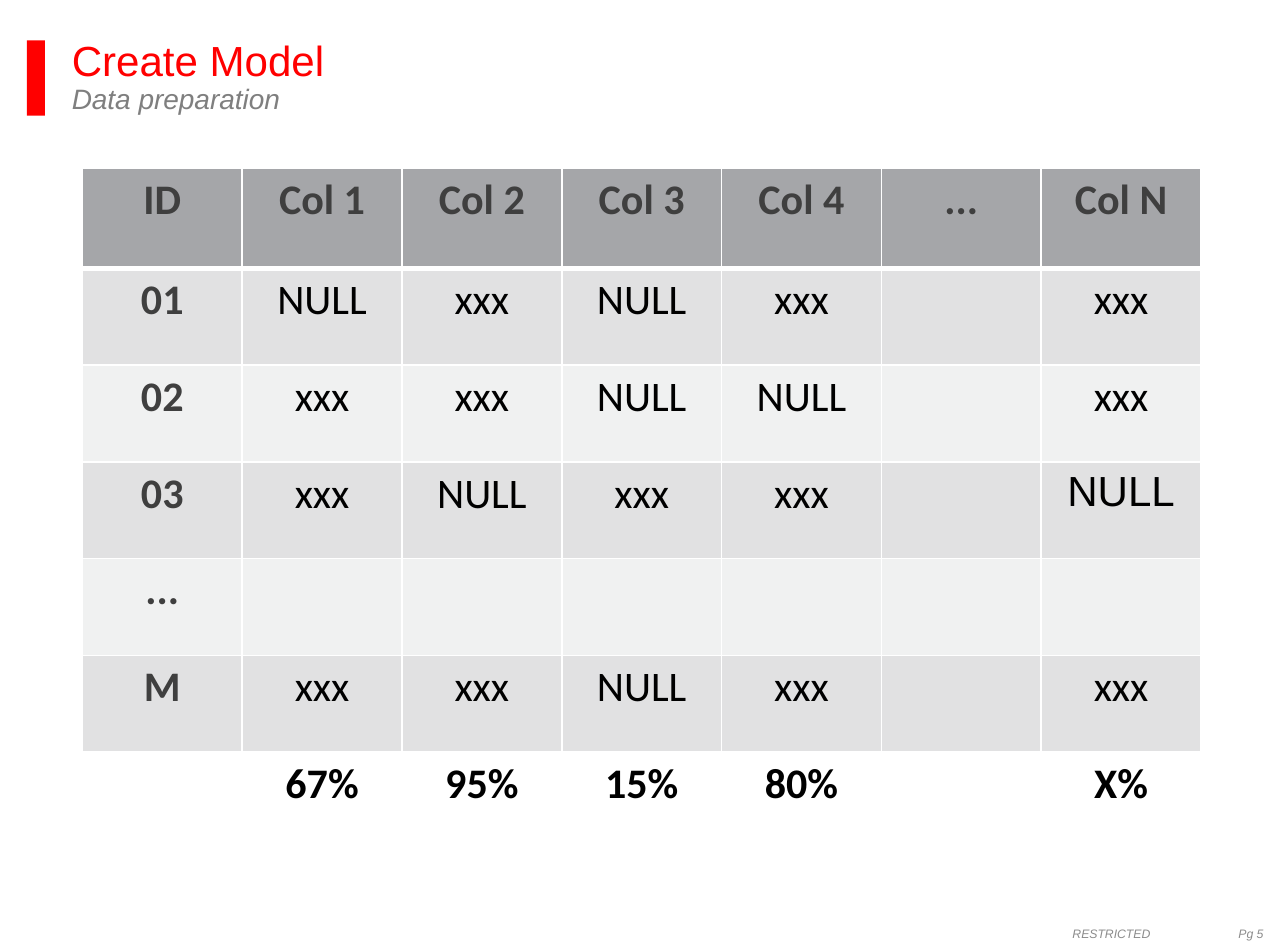
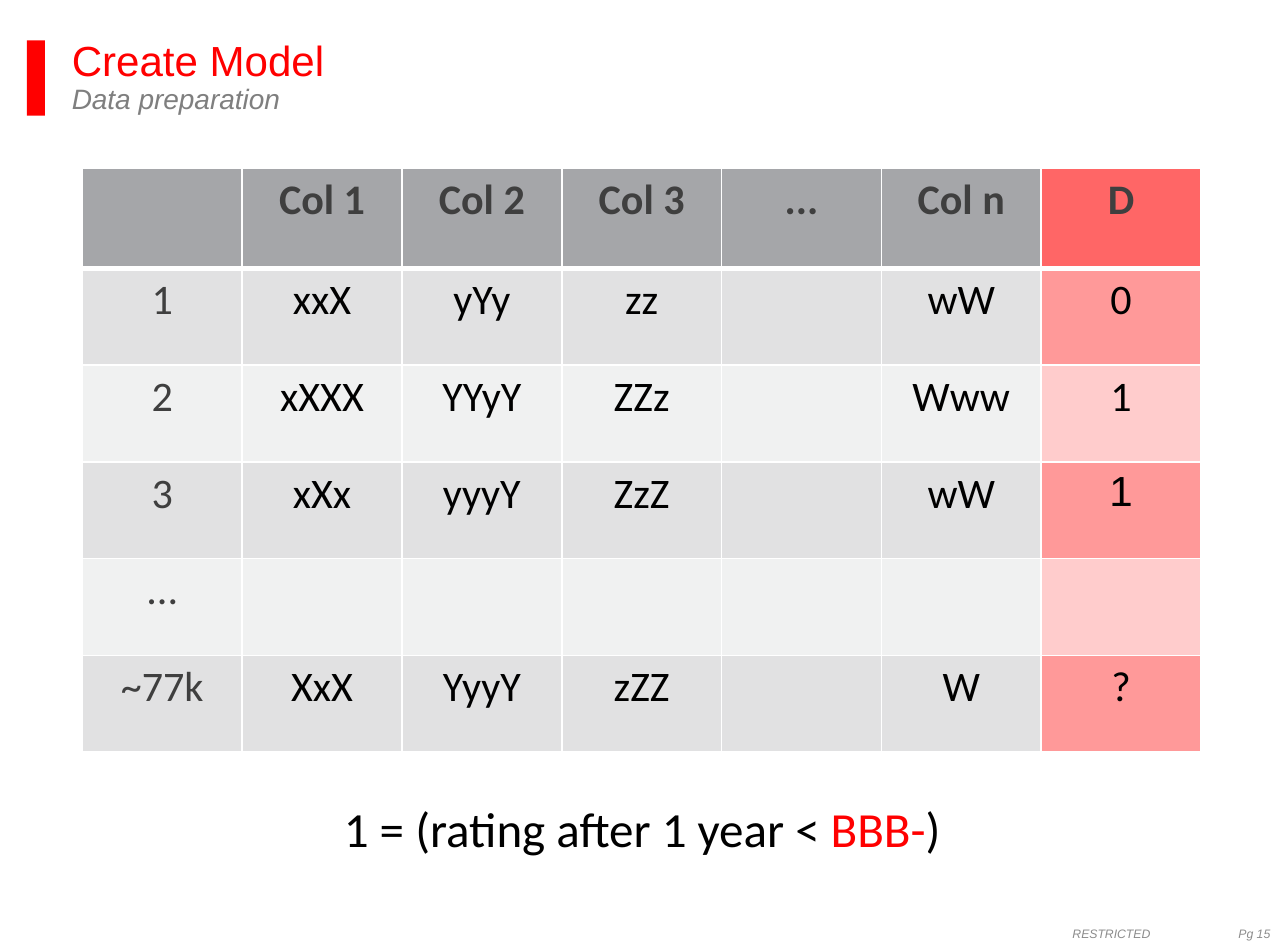
from dataclasses import dataclass
from lxml.etree import SubElement as Sub
from pptx import Presentation
from pptx.dml.color import RGBColor as Rgb
from pptx.enum.shapes import MSO_SHAPE as Shape
from pptx.enum.text import MSO_ANCHOR as Anchor, PP_ALIGN as Align
from pptx.oxml.ns import qn
from pptx.util import Pt


@dataclass(frozen=True)
class Theme:
    red: str = "FF0000"
    gray: str = "7F7F7F"
    pale: str = "8C8C8C"
    dark: str = "3F3F3F"
    black: str = "000000"
    white: str = "FFFFFF"
    grays: tuple = ("A5A6A9", "E1E1E2", "F0F1F1")
    reds: tuple = ("FF6666", "FF9999", "FFCCCC")
    sans: str = "Arial"
    body: str = "Calibri"
    title: int = 24
    sub: int = 16
    cell: int = 24
    note: int = 28
    foot: int = 7


theme = Theme()


def add_run(para, text, size, color, face, bold=False, slant=False):
    run = para.add_run()
    run.text = text
    font = run.font
    font.size, font.name = Pt(size), face
    font.bold, font.italic = bold, slant
    font.color.rgb = Rgb.from_string(color)


def add_box(slide, left, top, width, height, inset=0):
    frame = slide.shapes.add_textbox(Pt(left), Pt(top), Pt(width), Pt(height)).text_frame
    frame.word_wrap = True
    frame.margin_left = frame.margin_right = Pt(inset * 2)
    frame.margin_top = frame.margin_bottom = Pt(inset)
    return frame


pages = [
    {
        "page": "Pg 5",
        "rows": [
            ["ID", "Col 1", "Col 2", "Col 3", "Col 4", "...", "Col N"],
            ["01", "NULL", "xxx", "NULL", "xxx", "", "xxx"],
            ["02", "xxx", "xxx", "NULL", "NULL", "", "xxx"],
            ["03", "xxx", "NULL", "xxx", "xxx", "", "NULL"],
            ["...", "", "", "", "", "", ""],
            ["M", "xxx", "xxx", "NULL", "xxx", "", "xxx"],
            ["", "67%", "95%", "15%", "80%", "", "X%"],
        ],
        "strong": True,
        "tint": theme.grays,
        "note": [],
    },
    {
        "page": "Pg 15",
        "rows": [
            ["", "Col 1", "Col 2", "Col 3", "...", "Col n", "D"],
            ["1", "xxX", "yYy", "zz", "", "wW", "0"],
            ["2", "xXXX", "YYyY", "ZZz", "", "Www", "1"],
            ["3", "xXx", "yyyY", "ZzZ", "", "wW", "1"],
            ["...", "", "", "", "", "", ""],
            ["~77k", "XxX", "YyyY", "zZZ", "", "W", "?"],
        ],
        "strong": False,
        "tint": theme.reds,
        "note": [
            ("1 = (rating after 1 year < ", theme.black),
            ("BBB-", theme.red),
            (")", theme.black),
        ],
    },
]

deck = Presentation()
deck.slide_width, deck.slide_height = Pt(735), Pt(540)

for page in pages:
    slide = deck.slides.add_slide(deck.slide_layouts[6])

    bar = slide.shapes.add_shape(Shape.RECTANGLE, Pt(15.3), Pt(23), Pt(10.3), Pt(43))
    bar.shadow.inherit = False
    bar.fill.solid()
    bar.fill.fore_color.rgb = Rgb.from_string(theme.red)
    bar.line.fill.background()

    para = add_box(slide, 41, 23, 684, 54).paragraphs[0]
    para.line_spacing = 0.9
    add_run(para, "Create Model", theme.title, theme.red, theme.sans)
    para.add_line_break()
    add_run(para, "Data preparation", theme.sub, theme.gray, theme.sans, slant=True)

    foot = add_box(slide, 612, 525.6, 123, 14.4)
    foot.vertical_anchor = Anchor.MIDDLE
    para = foot.paragraphs[0]
    tabs = Sub(para._p.get_or_add_pPr(), qn("a:tabLst"))
    Sub(tabs, qn("a:tab"), pos=str(Pt(94.7)), algn="l")
    add_run(para, "RESTRICTED\t" + page["page"], theme.foot, theme.pale, theme.sans, slant=True)

    rows = page["rows"]
    count = len(rows)
    high = 57.3 + 55.2 * (count - 1)
    grid = slide.shapes.add_table(count, 7, Pt(47), Pt(96), Pt(638.4), Pt(high)).table
    grid.first_row = grid.horz_banding = False
    for col in grid.columns:
        col.width = Pt(91.2)
    for r, row in enumerate(rows):
        grid.rows[r].height = Pt(55.2 if r else 57.3)
        for c, text in enumerate(row):
            cell = grid.cell(r, c)
            props = cell._tc.get_or_add_tcPr()
            for side in "LRTB":
                thick = (r == 0 and side == "B") or (r == 1 and side == "T")
                edge = Sub(props, qn("a:ln" + side), w=str(Pt(3 if thick else 1)))
                Sub(Sub(edge, qn("a:solidFill")), qn("a:srgbClr"), val=theme.white)
            total = r == 6
            shades = page["tint"] if c == 6 else theme.grays
            shade = shades[0 if r == 0 else 2 - r % 2]
            cell.fill.solid()
            cell.fill.fore_color.rgb = Rgb.from_string(theme.white if total else shade)
            para = cell.text_frame.paragraphs[0]
            para.alignment = Align.CENTER
            if text:
                color = theme.dark if r == 0 or c == 0 else theme.black
                face = theme.sans if (r, c) == (3, 6) else theme.body
                bold = r == 0 or total or (c == 0 and page["strong"])
                add_run(para, text, theme.cell, color, face, bold)

    if page["note"]:
        para = add_box(slide, 48, 452, 637, 41, 3.6).paragraphs[0]
        para.alignment = Align.CENTER
        for text, color in page["note"]:
            add_run(para, text, theme.note, color, theme.body)

deck.save("out.pptx")
